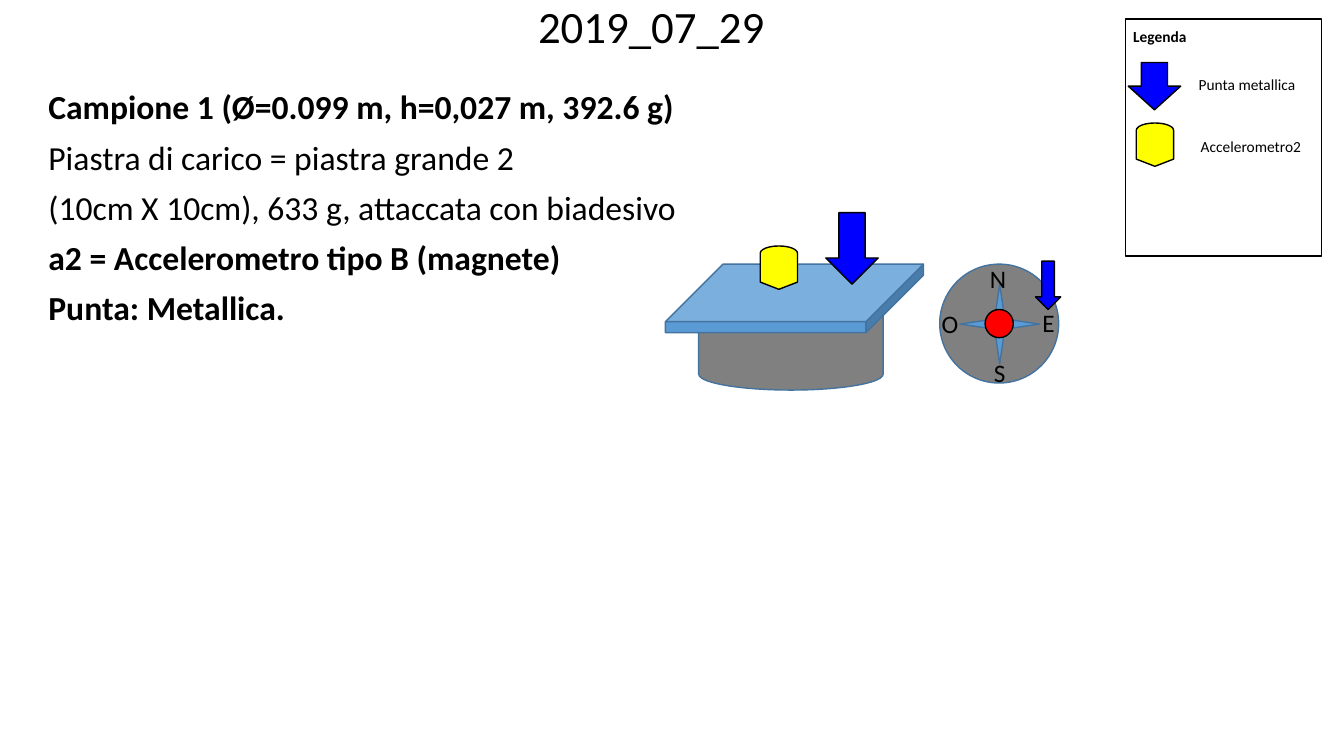
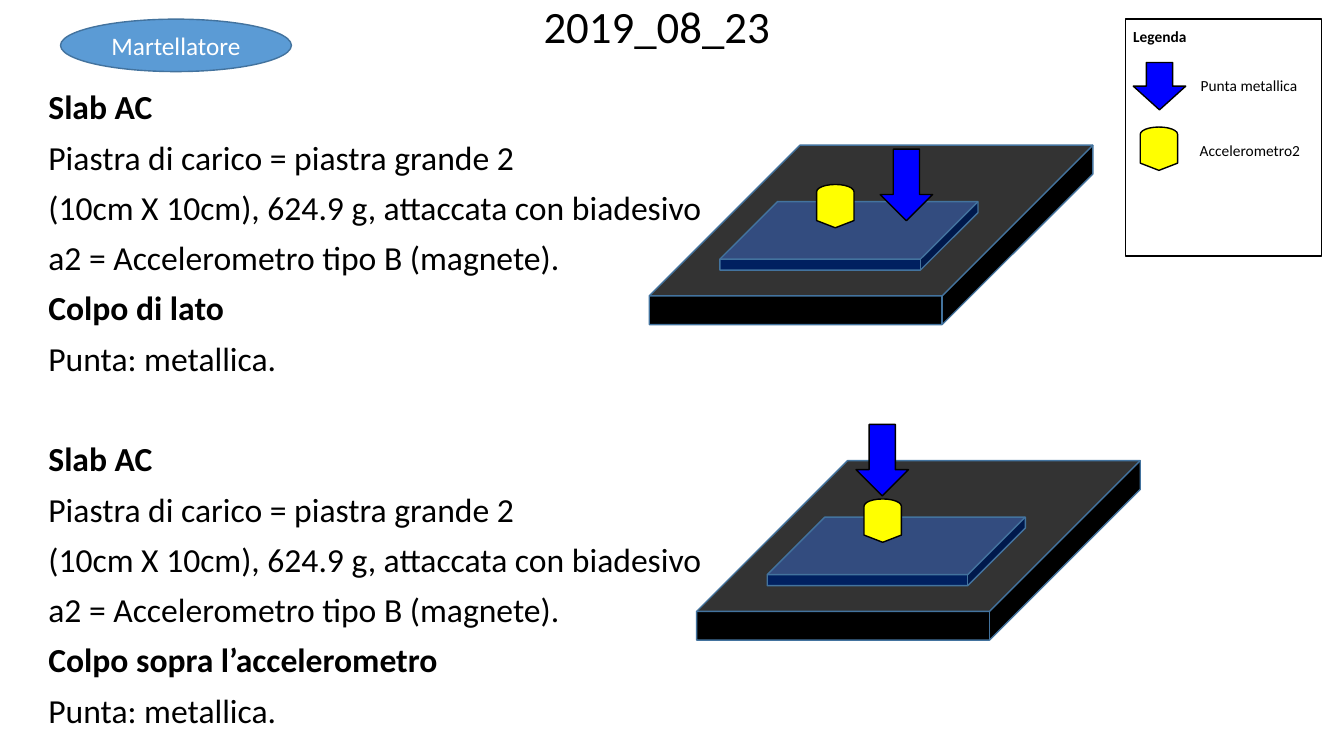
from pptx import Presentation
from pptx import util as u
from pptx.dml.color import RGBColor
from pptx.enum import shapes, text

PX = 9144  # EMU per px, 100 px to the inch
FONT = "Calibri"
BLACK = RGBColor(0x00, 0x00, 0x00)
WHITE = RGBColor(0xFF, 0xFF, 0xFF)
BLUE = RGBColor(0x00, 0x00, 0xFF)
YELLOW = RGBColor(0xFF, 0xFF, 0x00)
RED = RGBColor(0xFF, 0x00, 0x00)
GRAY = RGBColor(0x80, 0x80, 0x80)
SKY = RGBColor(0x5B, 0x9B, 0xD5)
NAVY = RGBColor(0x00, 0x20, 0x60)
EDGE = RGBColor(0x43, 0x73, 0x9E)

SHAPE = shapes.MSO_SHAPE
ALIGN = text.PP_ALIGN
LINE_GAP = 10   # pt between lines
BLOCK_GAP = 46  # pt between blocks
BIG_ARROW = (52, 71)
LEGEND_ARROW = (52, 47)

# Each block is a list of (line, bold)
SAMPLE = [
    ("Campione 1 (Ø=0.099 m, h=0,027 m, 392.6 g)", True),
    ("Piastra di carico = piastra grande 2", False),
    ("(10cm X 10cm), 633 g, attaccata con biadesivo", False),
    ("a2 = Accelerometro tipo B (magnete)", True),
    ("Punta: Metallica.", True),
]
SLAB_BLOCKS = [
    [
        ("Slab AC", True),
        ("Piastra di carico = piastra grande 2", False),
        ("(10cm X 10cm), 624.9 g, attaccata con biadesivo", False),
        ("a2 = Accelerometro tipo B (magnete).", False),
        (blow, True),
        ("Punta: metallica.", False),
    ]
    for blow in ("Colpo di lato", "Colpo sopra l’accelerometro")
]
COMPASS_CENTRE = (991, 321)
COMPASS_LETTERS = [("N", 972, 256), ("O", 924, 301), ("E", 1024, 300), ("S", 976, 350)]
# Slab corner, arrow corner, accelerometer corner
SLABS = [
    ((644, 144), (873, 148), (807, 186)),
    ((691, 457), (849, 421), (854, 498)),
]


def style(p, size, color=BLACK, bold=False):
    p.font.name, p.font.size = FONT, u.Pt(size)
    p.font.color.rgb, p.font.bold = color, bold


def place(sp, x, y, w, h):
    sp.left, sp.top, sp.width, sp.height = (v * PX for v in (x, y, w, h))


def add_shape(s, kind, x, y, w, h, fill=None, line=BLACK):
    sp = s.shapes.add_shape(kind, x * PX, y * PX, w * PX, h * PX)
    sp.shadow.inherit = False
    if fill is None:
        sp.fill.background()
    else:
        sp.fill.solid()
        sp.fill.fore_color.rgb = fill
    sp.line.color.rgb, sp.line.width = line, u.Pt(1)
    return sp


def add_label(s, words, x, y, w, h, size, bold=False):
    tf = s.shapes.add_textbox(x * PX, y * PX, w * PX, h * PX).text_frame
    tf.word_wrap = True
    tf.text = words
    style(tf.paragraphs[0], size, bold=bold)


def add_arrow(s, x, y, size=BIG_ARROW):
    add_shape(s, SHAPE.DOWN_ARROW, x, y, *size, BLUE)


def add_accelerometer(s, x, y):
    add_shape(s, SHAPE.FLOWCHART_DISPLAY, x, y, 43, 37, YELLOW).rotation = 270


def add_cube(s, x, y, w, h, fill):
    add_shape(s, SHAPE.CUBE, x, y, w, h, fill, EDGE).adjustments[0] = 0.84


def add_plate(s, x, y, fill):
    add_cube(s, x, y, 256, 68, fill)


def add_legend(s, arrow, arrow_label, accelerometer, accelerometer_label):
    add_shape(s, SHAPE.RECTANGLE, 1116, 19, 195, 235)
    add_label(s, "Legenda", 1114, 22, 130, 29, 11, True)
    add_arrow(s, *arrow, LEGEND_ARROW)
    add_label(s, "Punta metallica", *arrow_label, 130, 29, 11)
    add_accelerometer(s, *accelerometer)
    add_label(s, "Accelerometro2", *accelerometer_label, 131, 29, 11)


def add_page(prs, title, title_width, blocks):
    """Add a slide with its title and blocks of lines in the placeholders."""
    s = prs.slides.add_slide(prs.slide_layouts[0])
    heading, body = s.shapes.title, s.placeholders[1]
    place(heading, 0, 0, title_width, 85)
    place(body, 38, 85, 1259, 652)
    for sp in (heading, body):
        tf = sp.text_frame
        tf.word_wrap, tf.auto_size = True, text.MSO_AUTO_SIZE.NONE
        tf.vertical_anchor = text.MSO_ANCHOR.TOP

    p = heading.text_frame.paragraphs[0]
    p.text, p.alignment, p.line_spacing = title, ALIGN.CENTER, 0.9
    style(p, 32)

    tf = body.text_frame
    tf.text = "\n".join(line for block in blocks for line, _ in block)
    lines = [(i, bold) for block in blocks for i, (_, bold) in enumerate(block)]
    for p, (i, bold) in zip(tf.paragraphs, lines):
        p.alignment, p.line_spacing = ALIGN.LEFT, 0.9
        p.space_before = u.Pt(LINE_GAP if i else BLOCK_GAP)
        style(p, 24, bold=bold)
    tf.paragraphs[0].space_before = u.Pt(0)
    return s


def add_compass(s):
    cx, cy = COMPASS_CENTRE

    def centred(kind, d, fill, line):
        return add_shape(s, kind, cx - d // 2, cy - d // 2, d, d, fill, line)

    centred(SHAPE.OVAL, 118, GRAY, EDGE)
    centred(SHAPE.STAR_4_POINT, 79, SKY, EDGE).adjustments[0] = 0.09
    for letter, x, y in COMPASS_LETTERS:
        add_label(s, letter, x, y, 39, 40, 18)
    add_arrow(s, 1027, 259, (25, 48))
    centred(SHAPE.FLOWCHART_CONNECTOR, 28, RED, BLACK)


def build_sample(prs):
    s = add_page(prs, "2019_07_29", 1292, [SAMPLE])
    add_legend(s, (1119, 62), (1179, 70), (1124, 125), (1181, 131))
    add_shape(s, SHAPE.FLOWCHART_MAGNETIC_DISK, 693, 292, 183, 95, GRAY, EDGE)
    add_compass(s)
    add_plate(s, 660, 262, SKY)
    add_arrow(s, 819, 211)
    add_accelerometer(s, 751, 247)


def build_slabs(prs):
    s = add_page(prs, "2019_08_23", 1303, SLAB_BLOCKS)
    add_legend(s, (1124, 62), (1181, 71), (1128, 129), (1180, 135))
    for (x, y), arrow, accelerometer in SLABS:
        add_cube(s, x, y, 440, 178, BLACK)
        add_plate(s, x + 70, y + 56, NAVY)
        add_arrow(s, *arrow)
        add_accelerometer(s, *accelerometer)
    tf = add_shape(s, SHAPE.OVAL, 60, 19, 229, 52, SKY, EDGE).text_frame
    tf.text = "Martellatore"
    tf.vertical_anchor = text.MSO_ANCHOR.MIDDLE
    tf.paragraphs[0].alignment = ALIGN.CENTER
    style(tf.paragraphs[0], 18, WHITE)


def main():
    prs = Presentation()
    prs.slide_width, prs.slide_height = 1333 * PX, 750 * PX
    build_sample(prs)
    build_slabs(prs)
    prs.save("out.pptx")


if __name__ == "__main__":
    main()
